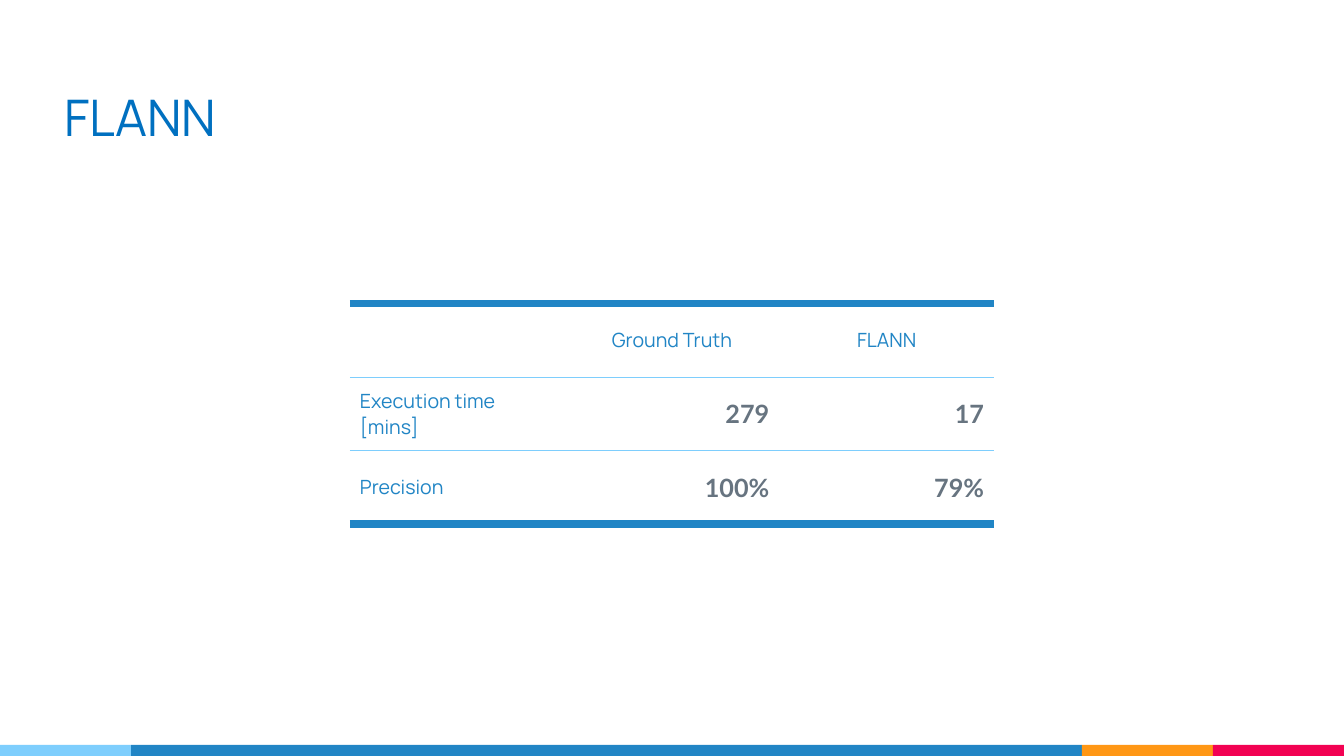
import pptx
import pptx.dml.color
import pptx.enum.shapes
import pptx.enum.text
import pptx.oxml
import pptx.oxml.ns
import pptx.util
from pptx.util import Inches

THEME = {
    "title": ("Manrope", 36, "0070C0", False),
    "label": ("Manrope", 14, "2185C5", False),
    "value": ("Lato", 18, "677480", True),
    "blue": "2185C5",
    "sky": "7ECEFD",
    "orange": "FF9715",
    "red": "F20253",
}
ALIGN = pptx.enum.text.PP_ALIGN
MIDDLE = pptx.enum.text.MSO_ANCHOR.MIDDLE


def write(para, text, style, align):
    face, size, color, bold = THEME[style]
    para.alignment = align
    span = para.add_run()
    span.text = text
    span.font.name = face
    span.font.size = pptx.util.Pt(size)
    span.font.bold = bold
    span.font.color.rgb = pptx.dml.color.RGBColor.from_string(color)


def set_border(cell, position, side, color=None, width=0):
    if color:
        paint = f'<a:solidFill><a:srgbClr val="{color}"/></a:solidFill>'
    else:
        paint = "<a:noFill/>"
    border = pptx.oxml.parse_xml(
        f'<a:{side} {pptx.oxml.ns.nsdecls("a")} w="{pptx.util.Pt(width)}">{paint}</a:{side}>')
    cell._tc.get_or_add_tcPr().insert(position, border)


deck = pptx.Presentation()
deck.slide_width, deck.slide_height = Inches(13.33), Inches(7.5)
page = deck.slides.add_slide(deck.slide_layouts[6])

# Colour strip along the bottom edge
left = 0
for color, width in (("sky", 1.3), ("blue", 9.43), ("orange", 1.3), ("red", 1.3)):
    band = page.shapes.add_shape(pptx.enum.shapes.MSO_SHAPE.RECTANGLE,
                                 Inches(left), Inches(7.39), Inches(width), Inches(0.11))
    band.shadow.inherit = False
    band.fill.solid()
    band.fill.fore_color.rgb = pptx.dml.color.RGBColor.from_string(THEME[color])
    band.line.fill.background()
    left += width

# Title
title = page.shapes.add_textbox(Inches(0.54), Inches(0.3), Inches(12.25), Inches(1.25))
frame = title.text_frame
frame.word_wrap = True
frame.vertical_anchor = pptx.enum.text.MSO_ANCHOR.BOTTOM
frame.margin_left = frame.margin_right = Inches(0.1)
frame.margin_top = frame.margin_bottom = Inches(0.1)
write(frame.paragraphs[0], "FLANN", "title", ALIGN.LEFT)

# Results table
results = [
    ("", "Ground Truth", "FLANN"),
    ("Execution time [mins]", "279", "17"),
    ("Precision", "100%", "79%"),
]
table = page.shapes.add_table(3, 3, Inches(3.47), Inches(3.01), Inches(6.39), Inches(2.19)).table
table.first_row = table.horz_banding = False
for column in table.columns:
    column.width = Inches(2.13)

# Thick rules above and below the table, thin rules between rows
thick, thin = (THEME["blue"], 6), (THEME["sky"], 0.75)
rules = [thick, thin, thin, thick]

for row, texts in enumerate(results):
    table.rows[row].height = Inches(0.73)
    for column, text in enumerate(texts):
        cell = table.cell(row, column)
        cell.fill.background()
        cell.vertical_anchor = MIDDLE
        cell.margin_left = cell.margin_right = Inches(0.1)
        cell.margin_top = cell.margin_bottom = Inches(0.1)
        set_border(cell, 0, "lnL")
        set_border(cell, 1, "lnR")
        set_border(cell, 2, "lnT", *rules[row])
        set_border(cell, 3, "lnB", *rules[row + 1])
        if not text:
            continue
        if row == 0:
            style, align = "label", ALIGN.CENTER
        elif column == 0:
            style, align = "label", ALIGN.LEFT
        else:
            style, align = "value", ALIGN.RIGHT
        write(cell.text_frame.paragraphs[0], text, style, align)

deck.save("out.pptx")
